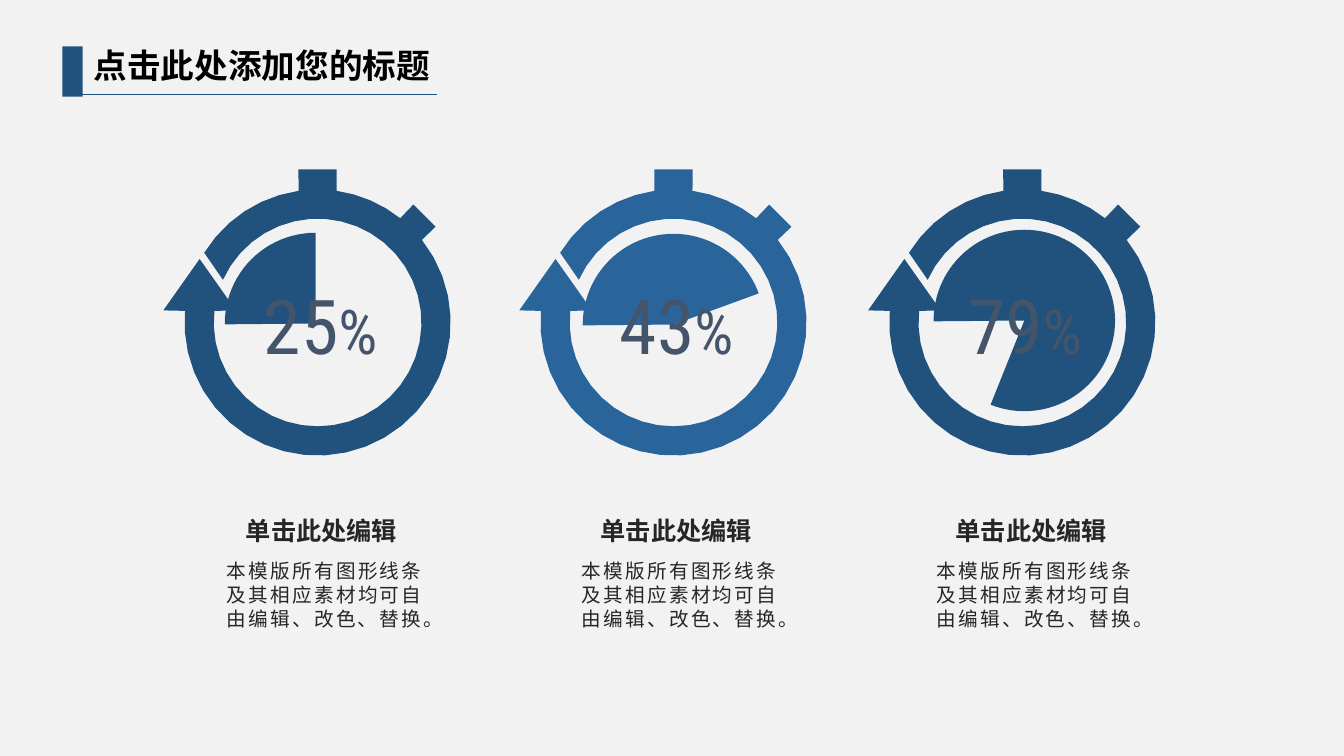
from math import ceil, cos, radians, sin

from pptx import Presentation
from pptx.dml.color import RGBColor
from pptx.enum.shapes import MSO_CONNECTOR, MSO_SHAPE
from pptx.enum.text import MSO_ANCHOR as Anchor, MSO_AUTO_SIZE as AutoSize, PP_ALIGN as Align
from pptx.oxml.ns import qn
from pptx.util import Inches, Pt

NAVY, BLUE, SLATE, INK = "21517D", "29659B", "44546A", "262626"
CJK, DIGITS = "Noto Sans CJK SC", "Roboto Condensed"
HEADING = "单击此处编辑"
BODY = "本模版所有图形线条及其相应素材均可自由编辑、改色、替换。"

CENTER_X, CENTER_Y = 1.53, 1.52
OUTER, INNER = 1.32, 1.03
ARC_STEP = 9
PIE_SIZE, PIE_START = 1.8, 107.67
CAPTION_LEFT, CAPTION_TOP, CAPTION_STEP = 2.15, 5.12, 3.52

STOPWATCHES = [
    (1.62, 2.23, 2.31, 162, "25", NAVY),
    (5.15, 5.78, 2.32, 203.97, "43", BLUE),
    (8.61, 9.26, 2.28, 67.09, "79", NAVY),
]


def color(value):
    """Return the colour for a hex string."""
    return RGBColor.from_string(value)


def paint(shape, fill):
    """Give a shape a flat fill with no line or shadow."""
    shape.shadow.inherit = False
    shape.fill.solid()
    shape.fill.fore_color.rgb = color(fill)
    shape.line.fill.background()


def add_run(paragraph, text, size, font_name, fill, bold=False, spacing=0):
    """Append a formatted run to a paragraph."""
    run = paragraph.add_run()
    run.text = text
    run.font.size = Pt(size)
    run.font.bold = bold
    run.font.color.rgb = color(fill)
    run.font.name = font_name
    properties = run.font._element
    east_asian = properties.makeelement(qn("a:ea"), {"typeface": font_name})
    properties.append(east_asian)
    if spacing:
        properties.set("spc", str(spacing))


def add_text_box(slide, left, top, width, height):
    """Add a wrapping text box and return its frame."""
    box = slide.shapes.add_textbox(Inches(left), Inches(top), Inches(width), Inches(height))
    box.text_frame.word_wrap = True
    return box.text_frame


def arc(radius, start, end):
    """List points along an arc of the stopwatch ring, in degrees clockwise."""
    steps = ceil(abs(end - start) / ARC_STEP)
    angles = [radians(start + (end - start) * step / steps) for step in range(steps + 1)]
    return [(CENTER_X + radius * cos(angle), CENTER_Y + radius * sin(angle)) for angle in angles]


def ring_outline():
    """List the outline of the ring with its side button, crown and arrow."""
    side_button = [(2.7, 0.57), (2.48, 0.35)]
    crown = [(1.72, 0), (1.34, 0)]
    arrow = [(0.72, 1.4), (0.36, 0.89), (0, 1.4)]
    return (side_button + arc(OUTER, -51.6, -81.8) + crown + arc(OUTER, -98.2, -148.4)
            + arc(INNER, -155.7, 186.4) + arrow + arc(OUTER, 185, -38.4))


def add_stopwatch(slide, left, top, pie_left, pie_top, pie_end, number, fill):
    """Draw a stopwatch with its pie and percentage."""
    pie = slide.shapes.add_shape(MSO_SHAPE.PIE, Inches(pie_left), Inches(pie_top),
                                 Inches(PIE_SIZE), Inches(PIE_SIZE))
    pie.adjustments[0] = PIE_START
    pie.adjustments[1] = pie_end
    paint(pie, fill)

    points = [(Inches(left + x), Inches(top + y)) for x, y in ring_outline()]
    builder = slide.shapes.build_freeform(*points[0])
    builder.add_line_segments(points[1:], close=True)
    paint(builder.convert_to_shape(), fill)

    frame = add_text_box(slide, left + 0.85, top + 1.06, 1.42, 0.95)
    frame.margin_left = frame.margin_right = frame.margin_top = frame.margin_bottom = 0
    frame.vertical_anchor = Anchor.MIDDLE
    paragraph = frame.paragraphs[0]
    paragraph.alignment = Align.CENTER
    paragraph.space_after = Pt(3)
    add_run(paragraph, number, 54, DIGITS, SLATE)
    add_run(paragraph, "%", 44, DIGITS, SLATE)


def add_caption(slide, left, top):
    """Place a heading and the paragraph below it."""
    body = add_text_box(slide, left, top + 0.38, 2.15, 0.92).paragraphs[0]
    body.alignment = Align.JUSTIFY
    body.line_spacing = Pt(16.8)
    add_run(body, BODY, 14, CJK, INK, spacing=150)

    frame = add_text_box(slide, left + 0.19, top, 2.24, 0.35)
    frame.auto_size = AutoSize.SHAPE_TO_FIT_TEXT
    heading = frame.paragraphs[0]
    heading.line_spacing = Pt(17.8)
    add_run(heading, HEADING, 18, CJK, INK, bold=True)


def add_header(slide, left, top):
    """Place the title with its bar and underline."""
    bar = slide.shapes.add_shape(MSO_SHAPE.RECTANGLE, Inches(left), Inches(top + 0.06),
                                 Inches(0.2), Inches(0.5))
    paint(bar, NAVY)
    line_y = Inches(top + 0.54)
    underline = slide.shapes.add_connector(MSO_CONNECTOR.STRAIGHT, Inches(left + 0.14), line_y,
                                           Inches(left + 3.71), line_y)
    underline.line.color.rgb = color(NAVY)
    underline.line.width = Pt(0.5)
    properties = underline._element.spPr
    properties.append(properties.makeelement(qn("a:effectLst"), {}))

    title = slide.shapes.title
    title.left, title.top = Inches(left + 0.21), Inches(top)
    title.width, title.height = Inches(3.92), Inches(0.5)
    frame = title.text_frame
    frame.word_wrap = True
    frame.auto_size = AutoSize.SHAPE_TO_FIT_TEXT
    frame.vertical_anchor = Anchor.TOP
    paragraph = frame.paragraphs[0]
    paragraph.alignment = Align.LEFT
    add_run(paragraph, "点击此处添加您的标题", 24, CJK, "000000", bold=True)


def main():
    """Build the slide and save it."""
    presentation = Presentation()
    presentation.slide_width, presentation.slide_height = Inches(13.33), Inches(7.5)
    slide = presentation.slides.add_slide(presentation.slide_layouts[5])
    slide.background.fill.solid()
    slide.background.fill.fore_color.rgb = color("F2F2F2")
    for left, *details in STOPWATCHES:
        add_stopwatch(slide, left, 1.68, *details)
    for column in range(len(STOPWATCHES)):
        add_caption(slide, CAPTION_LEFT + column * CAPTION_STEP, CAPTION_TOP)
    add_header(slide, 0.62, 0.4)
    presentation.save("out.pptx")


if __name__ == "__main__":
    main()
